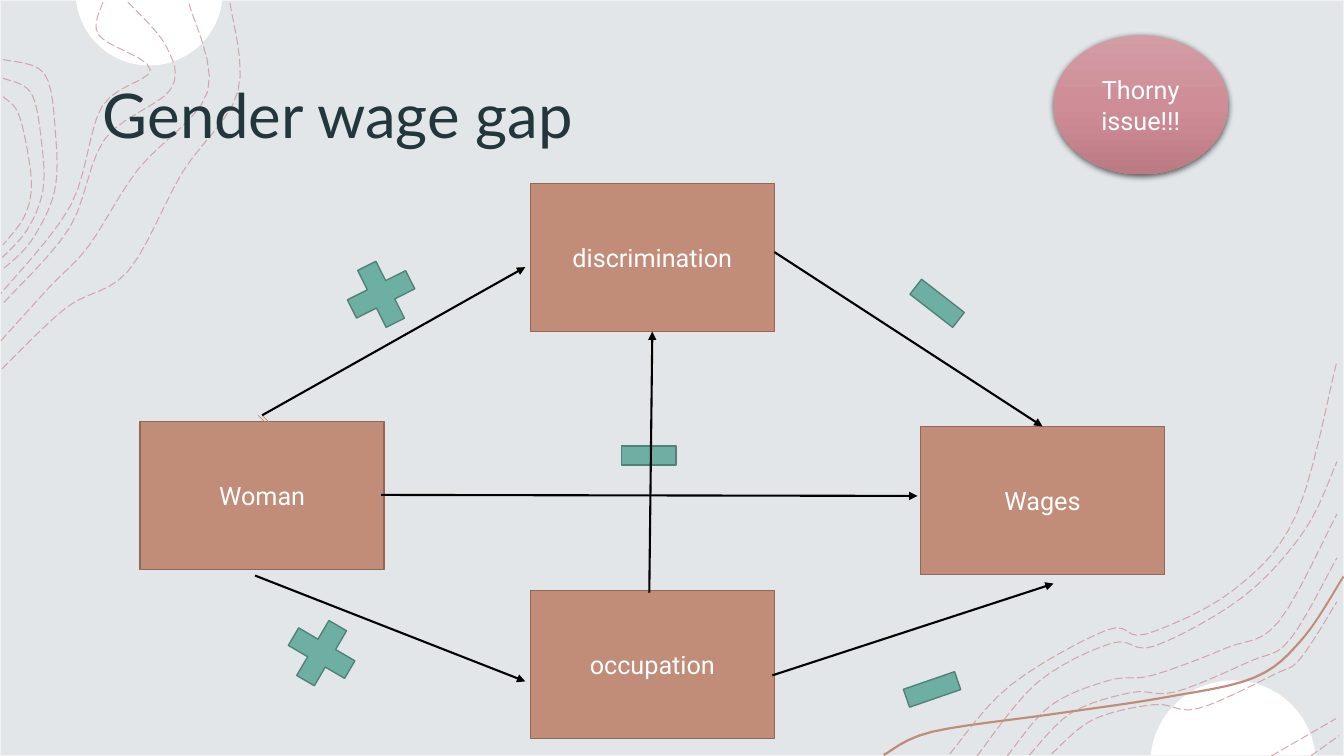
"""Build the slide on the gender wage gap as a path chart with wavy corners."""
import copy
import dataclasses
import math
import typing

import lxml.etree
import pptx
import pptx.dml.color
import pptx.enum.dml
import pptx.enum.shapes
import pptx.enum.text
import pptx.oxml.ns
import pptx.shapes.autoshape
import pptx.slide
import pptx.text.text
import pptx.util

Inches = pptx.util.Inches
Pt = pptx.util.Pt
Form = pptx.enum.shapes.MSO_SHAPE
Align = pptx.enum.text.PP_ALIGN
qn = pptx.oxml.ns.qn
Dots = typing.Sequence[tuple[float, float]]
Shape = pptx.shapes.autoshape.Shape
Slide = pptx.slide.Slide


@dataclasses.dataclass(frozen=True)
class Theme:
    ground: str = "E2E6E8"
    frame: str = "F2F2F2"
    white: str = "FFFFFF"
    black: str = "000000"
    ink: str = "22363C"
    clay: str = "C18C78"
    edge: str = "8F6859"
    green: str = "6DAFA2"
    moss: str = "518178"
    rose: str = "CC9099"
    ball: tuple[str, ...] = ("D29DA5", "CF8D97", "BC7A84")
    head: str = "Lato"
    body: str = "Roboto"
    large: int = 44
    small: int = 18


@dataclasses.dataclass(frozen=True)
class Box:
    text: str
    left: float
    top: float


@dataclasses.dataclass(frozen=True)
class Sign:
    form: Form
    left: float
    top: float
    turn: float = 0


@dataclasses.dataclass(frozen=True)
class Arrow:
    start: tuple[float, float]
    end: tuple[float, float]
    color: str = "000000"
    width: float = 1.5


@dataclasses.dataclass(frozen=True)
class Waves:
    first: Dots
    last: Dots
    count: int = 2


LOOK = Theme()
SIZES = {Form.MATH_MINUS: (0.73, 0.8), Form.MATH_PLUS: (0.88, 0.86)}
BOXES = [Box("Woman", 1.39, 4.18), Box("Wages", 9.13, 4.23),
         Box("discrimination", 5.26, 1.82), Box("occupation", 5.26, 5.86)]
SIGNS = [Sign(Form.MATH_MINUS, 6.07, 4.12), Sign(Form.MATH_MINUS, 8.93, 2.61, 37.8),
         Sign(Form.MATH_PLUS, 3.34, 2.49, 333.4), Sign(Form.MATH_PLUS, 2.75, 6.05, 30.4),
         Sign(Form.MATH_MINUS, 8.88, 6.44, 341)]
ARROWS = [*(Arrow((x, 4.12), (x + 1, 5.12), LOOK.clay, 0.5) for x in (2.56, 2.6)),
          Arrow((3.78, 4.91), (9.1, 4.92)), Arrow((2.6, 4.12), (5.21, 2.65)),
          Arrow((7.68, 2.5), (10.34, 4.23)), Arrow((2.53, 5.71), (5.21, 6.76)),
          Arrow((7.66, 6.7), (10.45, 5.79)), Arrow((6.44, 5.88), (6.47, 3.29))]
WAVES = [
    Waves([(0.02, 3.66), (0.66, 3.05), (1.27, 2.69), (1.81, 1.71), (2.36, 0.91), (2.28, 0.02)],
          [(0.01, 3.38), (0.5, 2.84), (0.88, 2.44), (1.37, 1.68), (2.06, 0.91), (1.87, 0.02)]),
    Waves([(1.27, 0.02), (1.65, 0.46), (1.69, 0.89), (1.04, 1.38), (0.69, 2.26), (0.03, 3.01)],
          [(1.02, 0.02), (0.98, 0.35), (1.49, 0.69), (1.01, 1.06), (0.7, 2.04), (0.01, 2.91)]),
    Waves([(0.03, 0.59), (0.44, 0.73), (0.55, 1.32), (0.54, 1.9), (0.31, 2.39), (0.02, 2.68)],
          [(0.03, 0.96), (0.18, 1.12), (0.28, 1.54), (0.31, 1.89), (0.23, 2.17), (0.03, 2.43)], 3),
    Waves([(9.42, 7.48), (10.02, 6.8), (10.98, 6.25), (11.37, 6.29), (12.24, 5.85),
           (12.86, 5.1), (13.26, 3.58)],
          [(9.69, 7.5), (10.29, 6.77), (11.03, 6.38), (11.45, 6.41), (12.33, 5.92),
           (12.94, 5.26), (13.26, 4.58)]),
    Waves([(13, 7.5), (13.28, 7.3)], [(12.61, 7.5), (13.25, 7.13)]),
    Waves([(10.43, 7.48), (10.84, 7.14), (11.45, 6.99), (11.88, 7.03), (12.64, 6.69),
           (12.9, 6.53), (13.26, 5.97)],
          [(9.99, 7.5), (10.42, 7), (11, 6.75), (11.43, 6.7), (12.16, 6.43),
           (12.68, 6.17), (13.26, 5.1)], 3)]
BAND = [(13.33, 5.73), (12.93, 6.34), (12.45, 6.73), (11.55, 6.93), (10.48, 7.09),
        (9.25, 7.27), (8.77, 7.5)]


def tint(code: str) -> pptx.dml.color.RGBColor:
    return pptx.dml.color.RGBColor.from_string(code)


def write(frame: pptx.text.text.TextFrame, text: str, *, font: str = LOOK.body,
          size: int = LOOK.small, color: str = LOOK.white, align: Align = Align.CENTER) -> None:
    frame.text, frame.word_wrap = text, True
    frame.auto_size = pptx.enum.text.MSO_AUTO_SIZE.NONE
    frame.vertical_anchor = pptx.enum.text.MSO_ANCHOR.MIDDLE
    line = frame.paragraphs[0]
    line.alignment = align
    face = line.runs[0].font
    face.name, face.size, face.color.rgb = font, Pt(size), tint(color)


def paint(shape: Shape, fill: str | None, edge: str | None = None, width: float = 1) -> None:
    shape.shadow.inherit = False
    if fill:
        shape.fill.solid()
        shape.fill.fore_color.rgb = tint(fill)
    else:
        shape.fill.background()
    if edge:
        shape.line.color.rgb, shape.line.width = tint(edge), Pt(width)
    else:
        shape.line.fill.background()


def place(slide: Slide, form: Form, *area: float) -> Shape:
    return slide.shapes.add_shape(form, *map(Inches, area))


def smooth(dots: Dots, steps: int = 6) -> Dots:
    ends = [dots[0], *dots, dots[-1]]
    curve = [dots[0]]
    for a, b, c, d in zip(ends, ends[1:], ends[2:], ends[3:]):
        for t in (step / steps for step in range(1, steps + 1)):
            curve.append(tuple(q + t * (r - p + t * (2 * p - 5 * q + 4 * r - s
                         + t * (3 * q - p - 3 * r + s))) / 2 for p, q, r, s in zip(a, b, c, d)))
    return curve


def trace(slide: Slide, dots: Dots, close: bool) -> Shape:
    spots = [(Inches(x), Inches(y)) for x, y in dots]
    pen = slide.shapes.build_freeform(*spots[0])
    pen.add_line_segments(spots[1:], close=close)
    return pen.convert_to_shape()


def disc(slide: Slide, x: float, y: float, size: float, turn: float) -> None:
    angles = [turn + 0.1 + (math.pi - 0.2) * i / 40 for i in range(41)]
    dots = [(x + size * math.cos(a), y + size * math.sin(a)) for a in angles]
    paint(trace(slide, dots, True), LOOK.white)


def ripple(slide: Slide, waves: Waves) -> None:
    for step in range(waves.count):
        part = step / (waves.count - 1)
        dots = [(a + (c - a) * part, b + (d - b) * part)
                for (a, b), (c, d) in zip(waves.first, waves.last)]
        shape = trace(slide, smooth(dots), False)
        paint(shape, None, LOOK.rose, 0.75)
        shape.line.dash_style = pptx.enum.dml.MSO_LINE.LONG_DASH
        color = shape.element.spPr.find(qn("a:ln")).find(".//" + qn("a:srgbClr"))
        lxml.etree.SubElement(color, qn("a:alpha"), val="75000")


def link(slide: Slide, arrow: Arrow) -> None:
    kind = pptx.enum.shapes.MSO_CONNECTOR.STRAIGHT
    line = slide.shapes.add_connector(kind, *map(Inches, arrow.start + arrow.end))
    line.line.color.rgb, line.line.width = tint(arrow.color), Pt(arrow.width)
    lxml.etree.SubElement(line.get_or_add_ln(), qn("a:tailEnd"), type="triangle")
    lxml.etree.SubElement(line.element.spPr, qn("a:effectLst"))


def badge(slide: Slide) -> None:
    ball = place(slide, Form.OVAL, 10.45, 0.35, 1.73, 1.38)
    paint(ball, None)
    ball.fill.gradient()
    ball.fill.gradient_angle = 270
    stops = ball.element.spPr.find(".//" + qn("a:gsLst"))
    stops.insert(1, copy.deepcopy(stops[0]))
    for stop, spot, color in zip(ball.fill.gradient_stops, (0, 0.5, 1), LOOK.ball):
        stop.position, stop.color.rgb = spot, tint(color)
    shade = lxml.etree.SubElement(
        ball.element.spPr.find(qn("a:effectLst")), qn("a:outerShdw"), blurRad=str(Pt(4.5)),
        dist=str(Pt(1.5)), dir="5400000", algn="ctr", rotWithShape="0")
    color = lxml.etree.SubElement(shade, qn("a:srgbClr"), val=LOOK.black)
    lxml.etree.SubElement(color, qn("a:alpha"), val="63000")
    write(ball.text_frame, "Thorny issue!!!")


def main() -> None:
    deck = pptx.Presentation()
    deck.slide_width, deck.slide_height = Inches(13.33), Inches(7.5)
    slide = deck.slides.add_slide(deck.slide_layouts[5])
    paint(place(slide, Form.RECTANGLE, 0, 0, 13.33, 7.5), LOOK.ground, LOOK.frame)
    disc(slide, 1.48, -0.08, 0.73, 0)
    disc(slide, 12.23, 7.57, 0.82, math.pi)
    curve = smooth(BAND)
    upper = [(x - 0.01, y - 0.02) for x, y in reversed(curve)]
    paint(trace(slide, [*curve, *upper], True), LOOK.clay)
    for waves in WAVES:
        ripple(slide, waves)
    title = slide.shapes.title
    title.left, title.top, title.width, title.height = map(Inches, (0.92, 0.4, 11.5, 1.45))
    write(title.text_frame, "Gender wage gap", font=LOOK.head, size=LOOK.large,
          color=LOOK.ink, align=Align.LEFT)
    slide.shapes.element.append(title.element)
    for box in BOXES:
        shape = place(slide, Form.RECTANGLE, box.left, box.top, 2.42, 1.47)
        paint(shape, LOOK.clay, LOOK.edge)
        write(shape.text_frame, box.text)
    for sign in SIGNS:
        shape = place(slide, sign.form, sign.left, sign.top, *SIZES[sign.form])
        shape.rotation = sign.turn
        paint(shape, LOOK.green, LOOK.moss)
    for arrow in ARROWS:
        link(slide, arrow)
    badge(slide)
    deck.save("out.pptx")


if __name__ == "__main__":
    main()
